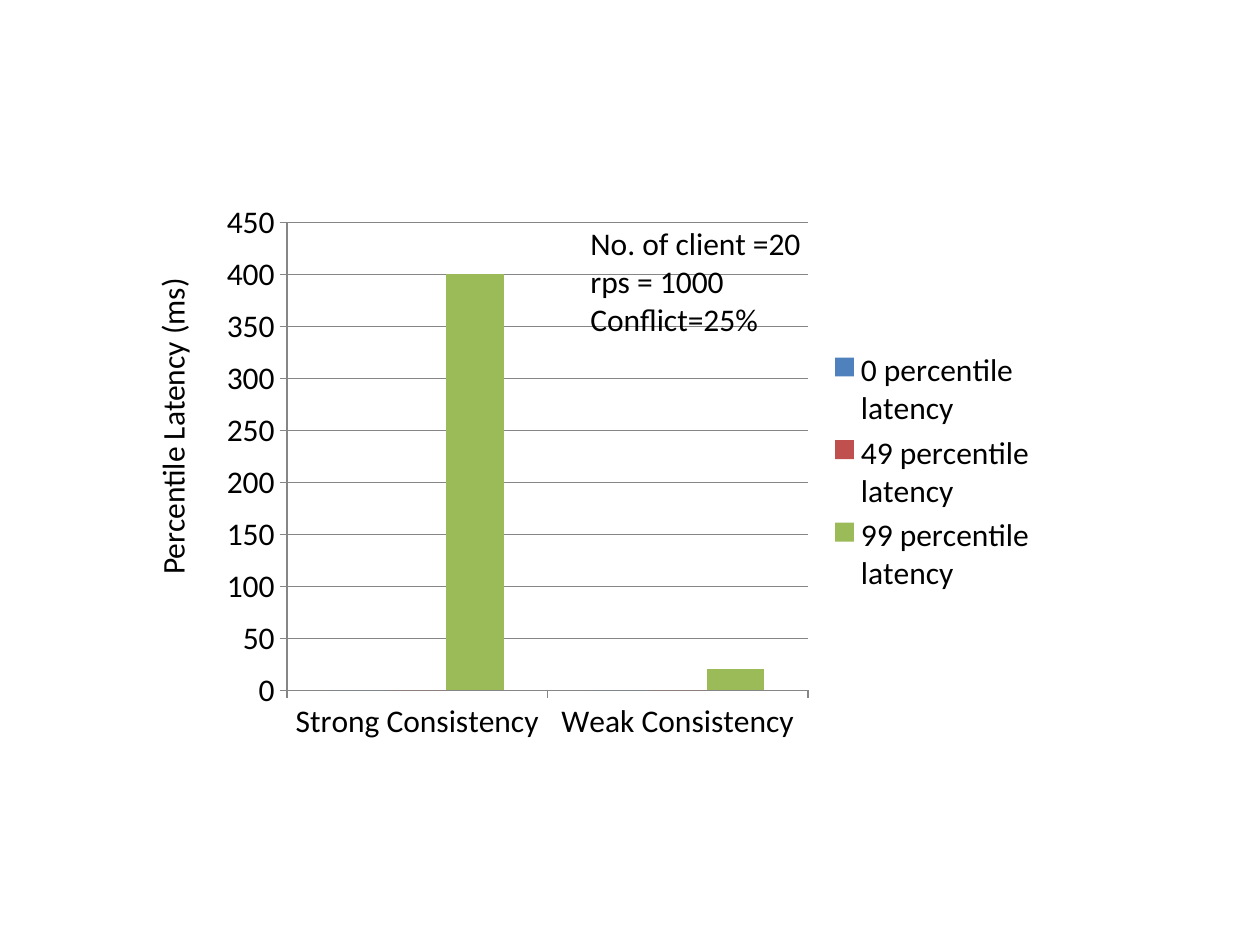
import pptx
import pptx.chart.data
import pptx.dml.color
import pptx.enum.chart
import pptx.enum.text
import pptx.util

PX = pptx.util.Inches(1) // 126
FONT_NAME, FONT_SIZE = "Calibri", 18
TEXT_COLOR, LINE_COLOR = "000000", "868686"

CATEGORIES = ["Strong Consistency", "Weak Consistency"]
SERIES = [
    ("0 percentile latency", (0, 0), "4F81BD"),
    ("49 percentile latency", (0, 0), "C0504D"),
    ("99 percentile latency", (400, 20), "9BBB59"),
]
CHART_BOX = (210, 192, 840, 560)

# lines, box (left, top, width, height), rotation
LABELS = [
    (["Percentile Latency (ms)"], (10, 399, 325, 51), 270),
    (["No. of client =20", "rps = 1000", "Conflict=25%"], (578, 218, 238, 127), 0),
]


def emu(box):
    return [length * PX for length in box]


def rgb(color):
    return pptx.dml.color.RGBColor.from_string(color)


def style_font(font):
    font.name = FONT_NAME
    font.size = pptx.util.Pt(FONT_SIZE)
    font.color.rgb = rgb(TEXT_COLOR)


def style_line(line):
    line.color.rgb = rgb(LINE_COLOR)
    line.width = pptx.util.Pt(0.75)


def add_latency_chart(slide):
    data = pptx.chart.data.CategoryChartData()
    data.categories = CATEGORIES
    for name, values, _ in SERIES:
        data.add_series(name, values)
    chart = slide.shapes.add_chart(
        pptx.enum.chart.XL_CHART_TYPE.COLUMN_CLUSTERED, *emu(CHART_BOX), data
    ).chart
    style_font(chart.font)
    chart.has_title = False
    chart.has_legend = True
    chart.legend.position = pptx.enum.chart.XL_LEGEND_POSITION.RIGHT
    chart.legend.include_in_layout = False

    plot = chart.plots[0]
    plot.gap_width = 150
    plot.vary_by_categories = False
    for series, (_, _, color) in zip(plot.series, SERIES):
        series.format.fill.solid()
        series.format.fill.fore_color.rgb = rgb(color)

    for axis in (chart.category_axis, chart.value_axis):
        axis.major_tick_mark = pptx.enum.chart.XL_TICK_MARK.OUTSIDE
        style_line(axis.format.line)
    value_axis = chart.value_axis
    value_axis.minimum_scale, value_axis.maximum_scale = 0, 450
    value_axis.major_unit = 50
    value_axis.has_major_gridlines = True
    style_line(value_axis.major_gridlines.format.line)


def add_label(slide, lines, box, rotation):
    shape = slide.shapes.add_textbox(*emu(box))
    shape.rotation = rotation
    frame = shape.text_frame
    frame.word_wrap = False
    frame.auto_size = pptx.enum.text.MSO_AUTO_SIZE.SHAPE_TO_FIT_TEXT
    frame.text = "\n".join(lines)
    for paragraph in frame.paragraphs:
        style_font(paragraph.font)


def main():
    presentation = pptx.Presentation()
    presentation.slide_width, presentation.slide_height = emu((1260, 945))
    slide = presentation.slides.add_slide(presentation.slide_layouts[6])
    add_latency_chart(slide)
    for label in LABELS:
        add_label(slide, *label)
    presentation.save("out.pptx")


if __name__ == "__main__":
    main()
